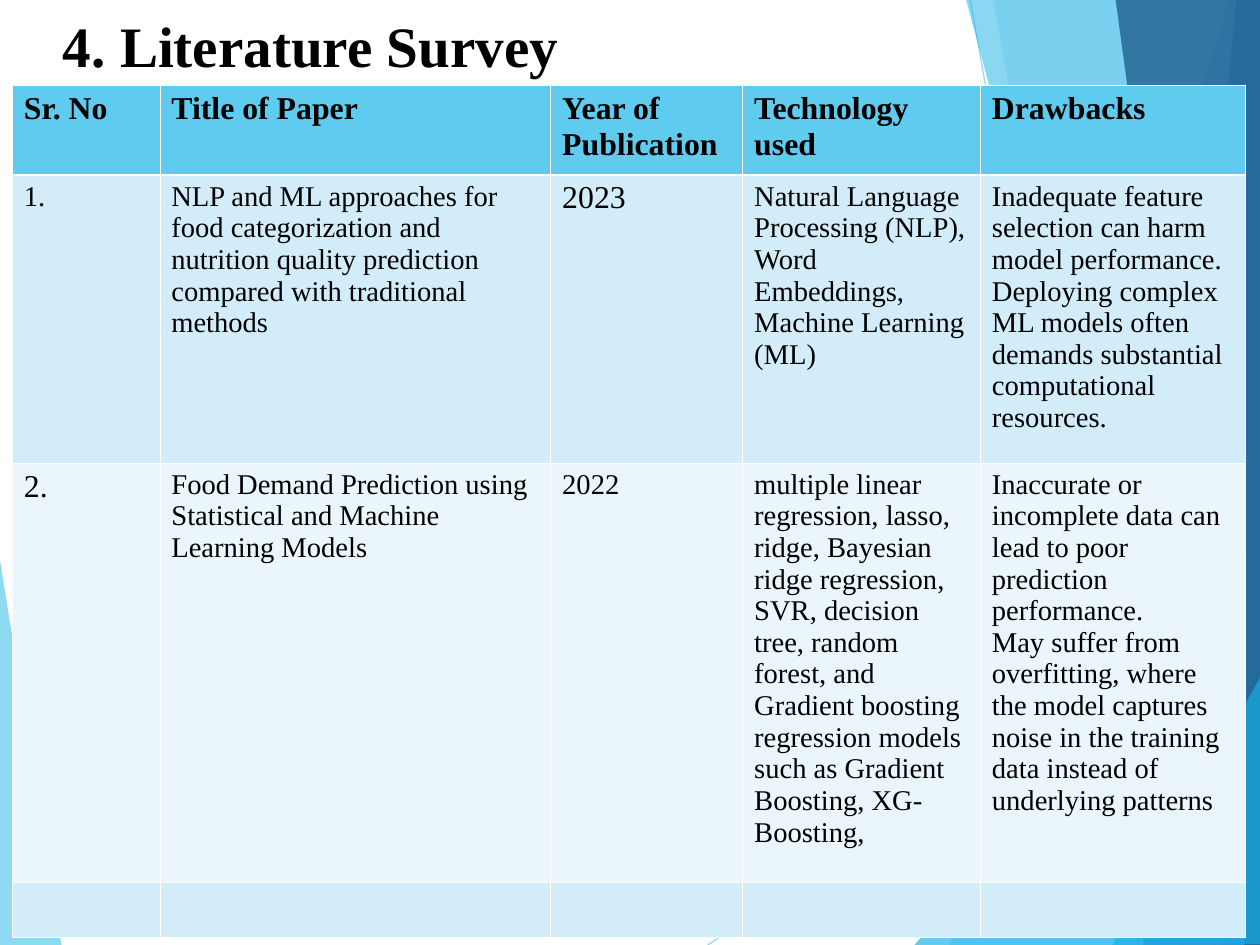
"""Build the literature survey slide."""
from lxml import etree
from pptx import Presentation
from pptx.dml.color import RGBColor
from pptx.enum.shapes import MSO_CONNECTOR
from pptx.enum.text import MSO_ANCHOR, MSO_AUTO_SIZE, PP_ALIGN
from pptx.oxml.ns import qn
from pptx.util import Inches, Pt

LINE = MSO_CONNECTOR.STRAIGHT
MIDDLE = MSO_ANCHOR.MIDDLE
LEFT = PP_ALIGN.LEFT
FIXED = MSO_AUTO_SIZE.NONE

FONT = "Times New Roman"
SKY, CYAN, BLUE, NAVY = "5FCBEF", "17B0E4", "2E83C3", "236292"
WIDE, HIGH = Pt(793.75), Pt(595.25)

TITLE = "4. Literature Survey"
RAYS = [((6.19, 8.27), (11.03, 5.03)), ((8.49, 0), (9.96, 8.27))]
FACETS = [
    (SKY, 70, [(-0.01, 4.84), (0.54, 8.28), (-0.01, 8.27)]),
    (SKY, 36, [(10.75, 0), (8.31, 8.27), (11.04, 8.28), (11.03, 0.01)]),
    (SKY, 20, [(8.69, -0.01), (10.14, 8.27), (11.03, 8.27), (11.03, -0.01)]),
    (CYAN, 66, [(8, 8.27), (11.03, 4.73), (11.03, 8.27)]),
    (CYAN, 50, [(8.45, -0.01), (10.69, 8.27), (11.03, 8.26), (11.03, -0.01)]),
    (BLUE, 70, [(10.82, -0.01), (10, 8.27), (11.03, 8.27), (11.03, -0.01)]),
    (NAVY, 82, [(9.76, -0.01), (10.89, 8.27), (11.04, 8.27), (11.03, -0.01)]),
    (CYAN, 66, [(9.73, 8.27), (11.04, 5.9), (11.05, 8.26)]),
]

COLS = [1.29, 3.42, 1.68, 2.08, 2.32]
ROWS = [0.78, 2.52, 3.67, 0.48]
FILLS = [SKY, "D2ECF9", "EAF6FC", "D2ECF9"]
PAPERS = [
    ["Sr. No", "Title of Paper", "Year of Publication", "Technology used", "Drawbacks"],
    ["1.",
     "NLP and ML approaches for food categorization and nutrition quality "
     "prediction compared with traditional methods",
     "2023",
     "Natural Language Processing (NLP), Word Embeddings, Machine Learning (ML)",
     "Inadequate feature selection can harm model performance. Deploying complex "
     "ML models often demands substantial computational resources."],
    ["2.",
     "Food Demand Prediction using Statistical and Machine Learning Models",
     "2022",
     "multiple linear regression, lasso, ridge, Bayesian ridge regression, SVR, "
     "decision tree, random forest, and Gradient boosting regression models such "
     "as Gradient Boosting, XG- Boosting,",
     "Inaccurate or incomplete data can lead to poor prediction performance.\n"
     "May suffer from overfitting, where the model captures noise in the training "
     "data instead of underlying patterns"],
    [""] * 5,
]
LARGE = {(1, 2), (2, 0)}


def paint(fill, color, alpha=100):
    fill.solid()
    fill.fore_color.rgb = RGBColor.from_string(color)
    if alpha < 100:
        tint = fill._xPr.find(".//" + qn("a:srgbClr"))
        etree.SubElement(tint, qn("a:alpha"), val=str(alpha * 1000))


def style(frame, size, bold):
    for para in frame.paragraphs:
        font = para.font
        font.name, font.size, font.bold = FONT, Pt(size), bold
        paint(font.fill, "000000")


def add_ray(shapes, start, end):
    ray = shapes.add_connector(LINE, *map(Inches, start + end))
    ray.line.width = Pt(0.75)
    paint(ray.line.fill, SKY, 70)
    etree.SubElement(ray._element.spPr, qn("a:effectLst"))


def add_facet(shapes, color, alpha, points):
    first, *rest = [(Inches(x), Inches(y)) for x, y in points]
    pen = shapes.build_freeform(*first)
    pen.add_line_segments(rest, close=True)
    facet = pen.convert_to_shape()
    facet.shadow.inherit = False
    facet.line.fill.background()
    paint(facet.fill, color, alpha)


def set_edges(cell, row):
    heavy = {0: "lnB", 1: "lnT"}.get(row)
    props = cell._tc.get_or_add_tcPr()
    for spot, side in enumerate(("lnL", "lnR", "lnT", "lnB")):
        width = Pt(1.47 if side == heavy else 0.45)
        edge = etree.Element(qn("a:" + side), w=str(width))
        solid = etree.SubElement(edge, qn("a:solidFill"))
        etree.SubElement(solid, qn("a:srgbClr"), val="FFFFFF")
        props.insert(spot, edge)


def add_papers(shapes):
    box = map(Inches, (0.11, 0.75, sum(COLS), sum(ROWS)))
    table = shapes.add_table(len(ROWS), len(COLS), *box).table
    for col, width in zip(table.columns, COLS):
        col.width = Inches(width)
    for row, height in zip(table.rows, ROWS):
        row.height = Inches(height)
    for r, texts in enumerate(PAPERS):
        for c, text in enumerate(texts):
            cell = table.cell(r, c)
            cell.text = text
            style(cell.text_frame, 20 if r == 0 or (r, c) in LARGE else 18, r == 0)
            paint(cell.fill, FILLS[r])
            set_edges(cell, r)


def set_title(title):
    title.left, title.top = Inches(0.55), Inches(-0.28)
    title.width, title.height = Inches(9.92), Inches(1.38)
    frame = title.text_frame
    frame.text = TITLE
    frame.auto_size, frame.vertical_anchor = FIXED, MIDDLE
    frame.margin_left = frame.margin_right = frame.margin_bottom = 0
    frame.margin_top = Inches(0.03)
    para = frame.paragraphs[0]
    para.alignment, para.line_spacing = LEFT, 0.93
    style(frame, 36, True)


def main():
    deck = Presentation()
    deck.slide_width, deck.slide_height = WIDE, HIGH
    slide = deck.slides.add_slide(deck.slide_layouts[5])
    shapes = slide.shapes
    set_title(shapes.title)
    left, *right = FACETS
    add_facet(shapes, *left)
    for ray in RAYS:
        add_ray(shapes, *ray)
    for facet in right:
        add_facet(shapes, *facet)
    add_papers(shapes)
    deck.save("out.pptx")


if __name__ == "__main__":
    main()
